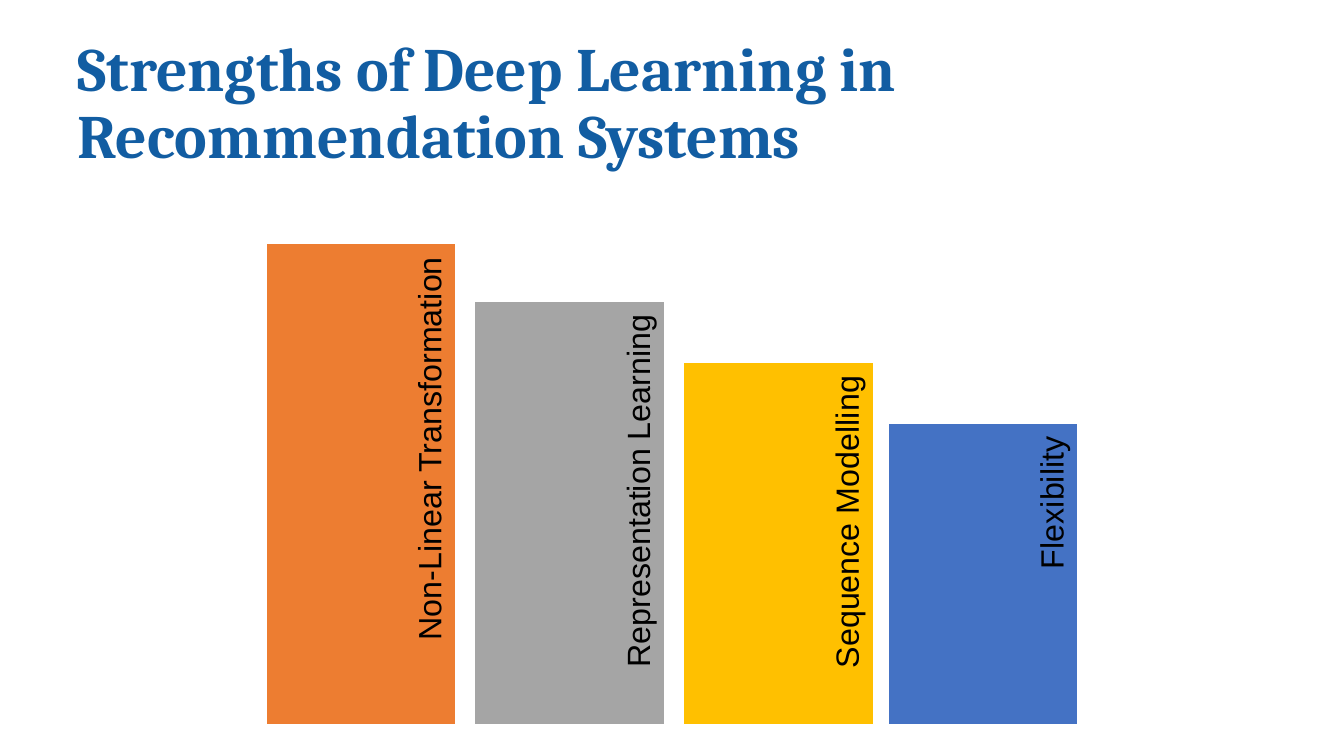
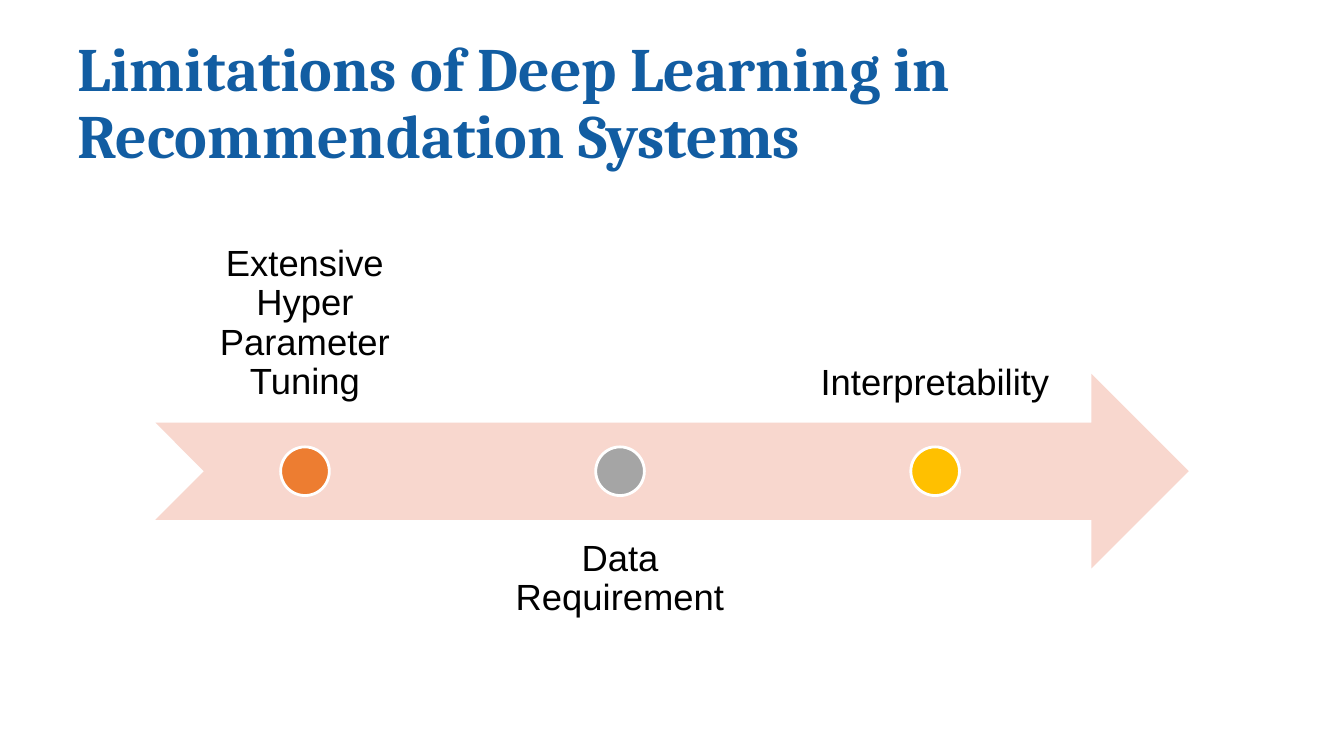
from pptx import Presentation
from pptx.dml.color import RGBColor
from pptx.enum.shapes import MSO_SHAPE
from pptx.enum.text import MSO_ANCHOR, PP_ALIGN
from pptx.util import Inches, Pt

RECTANGLE, OVAL, ARROW = MSO_SHAPE.RECTANGLE, MSO_SHAPE.OVAL, MSO_SHAPE.NOTCHED_RIGHT_ARROW
TOP, MIDDLE, BOTTOM = MSO_ANCHOR.TOP, MSO_ANCHOR.MIDDLE, MSO_ANCHOR.BOTTOM
LEFT, CENTER, RIGHT = PP_ALIGN.LEFT, PP_ALIGN.CENTER, PP_ALIGN.RIGHT

COLORS = {
    "title": "125DA2", "text": "000000", "white": "FFFFFF", "arrow": "F8D7CE",
    "orange": "ED7D31", "gray": "A5A5A5", "yellow": "FFC000", "blue": "4472C4",
}
SLIDE_WIDTH, SLIDE_HEIGHT = 13.33, 7.5


def add_text(slide, text, box, size, align, anchor, insets, font="Arial", color="text", bold=False):
    """Add a wrapped text box; box and insets are in inches."""
    shape = slide.shapes.add_textbox(*map(Inches, box))
    frame = shape.text_frame
    frame.word_wrap = True
    frame.vertical_anchor = anchor
    frame.margin_left, frame.margin_top, frame.margin_right, frame.margin_bottom = map(Inches, insets)
    paragraph = frame.paragraphs[0]
    paragraph.text = text
    paragraph.alignment = align
    paragraph.line_spacing = 0.9
    paragraph.font.name = font
    paragraph.font.size = Pt(size)
    paragraph.font.bold = bold
    paragraph.font.color.rgb = RGBColor.from_string(COLORS[color])
    return shape


def add_filled(slide, kind, box, color, outlined=True):
    """Add a flat preset shape, with a white outline unless told otherwise."""
    shape = slide.shapes.add_shape(kind, *map(Inches, box))
    shape.shadow.inherit = False
    shape.fill.solid()
    shape.fill.fore_color.rgb = RGBColor.from_string(COLORS[color])
    if outlined:
        shape.line.color.rgb = RGBColor.from_string(COLORS["white"])
        shape.line.width = Pt(2)
    else:
        shape.line.fill.background()


presentation = Presentation()
presentation.slide_width = Inches(SLIDE_WIDTH)
presentation.slide_height = Inches(SLIDE_HEIGHT)
blank_layout = presentation.slide_layouts[6]

# Both slides carry the same title style
slides = []
for topic in ("Strengths", "Limitations"):
    slide = presentation.slides.add_slide(blank_layout)
    add_text(slide, f"{topic} of Deep Learning in Recommendation Systems",
             (0.67, 0.28, SLIDE_WIDTH * 0.9, 1.53), 44, LEFT, MIDDLE,
             (0.1, 0.05, 0.1, 0.05), "Cambria", "title", True)
    slides.append(slide)
strengths_slide, limitations_slide = slides

# Strengths: descending bars on one baseline, labels reading upwards
BAR_WIDTH, BASELINE = 1.9, 7.2
LABEL_HEIGHT, LABEL_OFFSET, LABEL_SHARE = 0.49, 1.66, 0.9
strengths = [
    ("Non-Linear Transformation", 2.63, 4.79, "orange"),
    ("Representation Learning", 4.7, 4.22, "gray"),
    ("Sequence Modelling", 6.77, 3.61, "yellow"),
    ("Flexibility", 8.8, 3.01, "blue"),
]
for text, left, height, color in strengths:
    top = BASELINE - height
    add_filled(strengths_slide, RECTANGLE, (left, top, BAR_WIDTH, height), color)
    length = height * LABEL_SHARE
    label_box = (left + LABEL_OFFSET - length / 2, top + (length - LABEL_HEIGHT) / 2,
                 length, LABEL_HEIGHT)
    label = add_text(strengths_slide, text, label_box, 23, RIGHT, MIDDLE, (0.1, 0, 0.14, 0.03))
    label.rotation = 270

# Limitations: dots along an arrow, labels alternating above and below
ARROW_LEFT, ARROW_TOP, ARROW_WIDTH, ARROW_HEIGHT = 1.54, 3.71, 10.25, 1.93
LABEL_WIDTH, STEP = 2.97, 3.125
DOT_SIZE = ARROW_HEIGHT / 4
add_filled(limitations_slide, ARROW, (ARROW_LEFT, ARROW_TOP, ARROW_WIDTH, ARROW_HEIGHT),
           "arrow", outlined=False)
limitations = [
    ("Extensive Hyper Parameter Tuning", "orange"),
    ("Data Requirement", "gray"),
    ("Interpretability", "yellow"),
]
for index, (text, color) in enumerate(limitations):
    left = ARROW_LEFT + index * STEP
    side, anchor = (1, TOP) if index % 2 else (-1, BOTTOM)
    add_text(limitations_slide, text,
             (left, ARROW_TOP + side * ARROW_HEIGHT * 0.75, LABEL_WIDTH, ARROW_HEIGHT),
             26, CENTER, anchor, (0.2, 0.2, 0.2, 0.2))
    add_filled(limitations_slide, OVAL,
               (left + (LABEL_WIDTH - DOT_SIZE) / 2, ARROW_TOP + (ARROW_HEIGHT - DOT_SIZE) / 2,
                DOT_SIZE, DOT_SIZE), color)

presentation.save("out.pptx")
